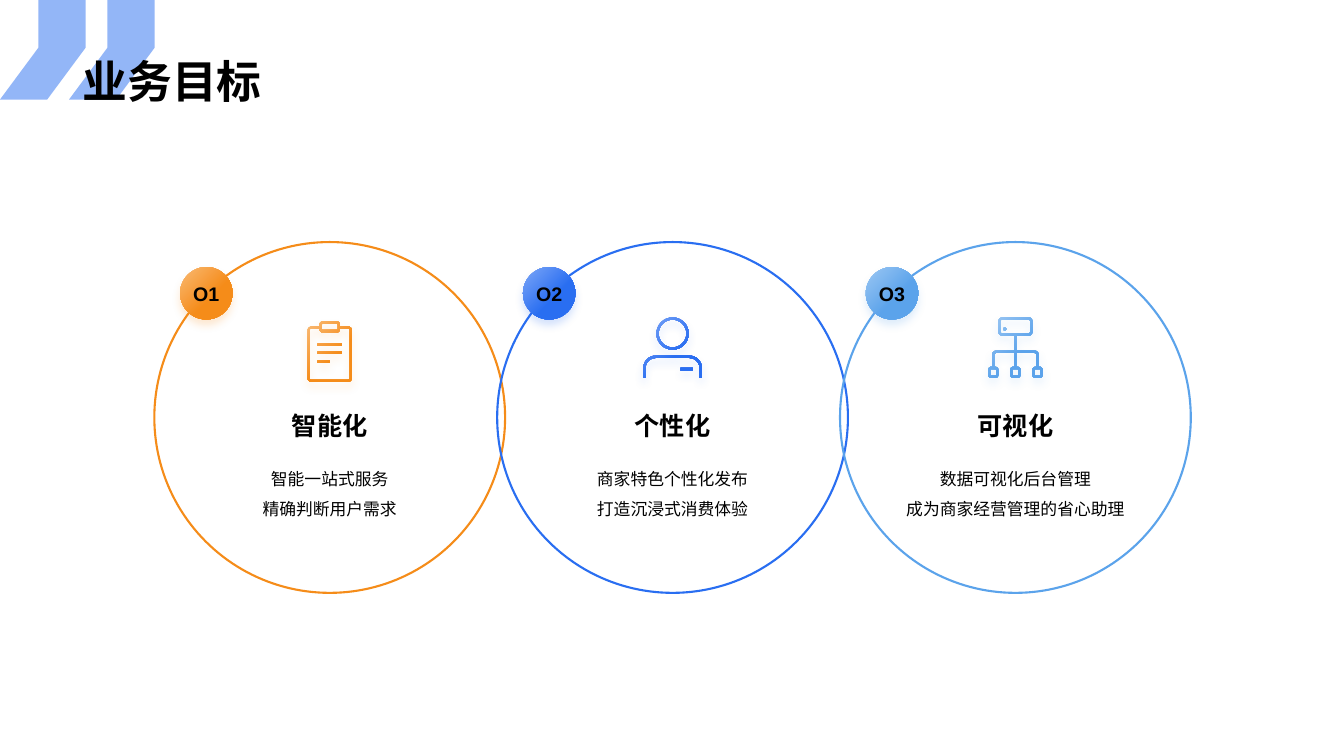
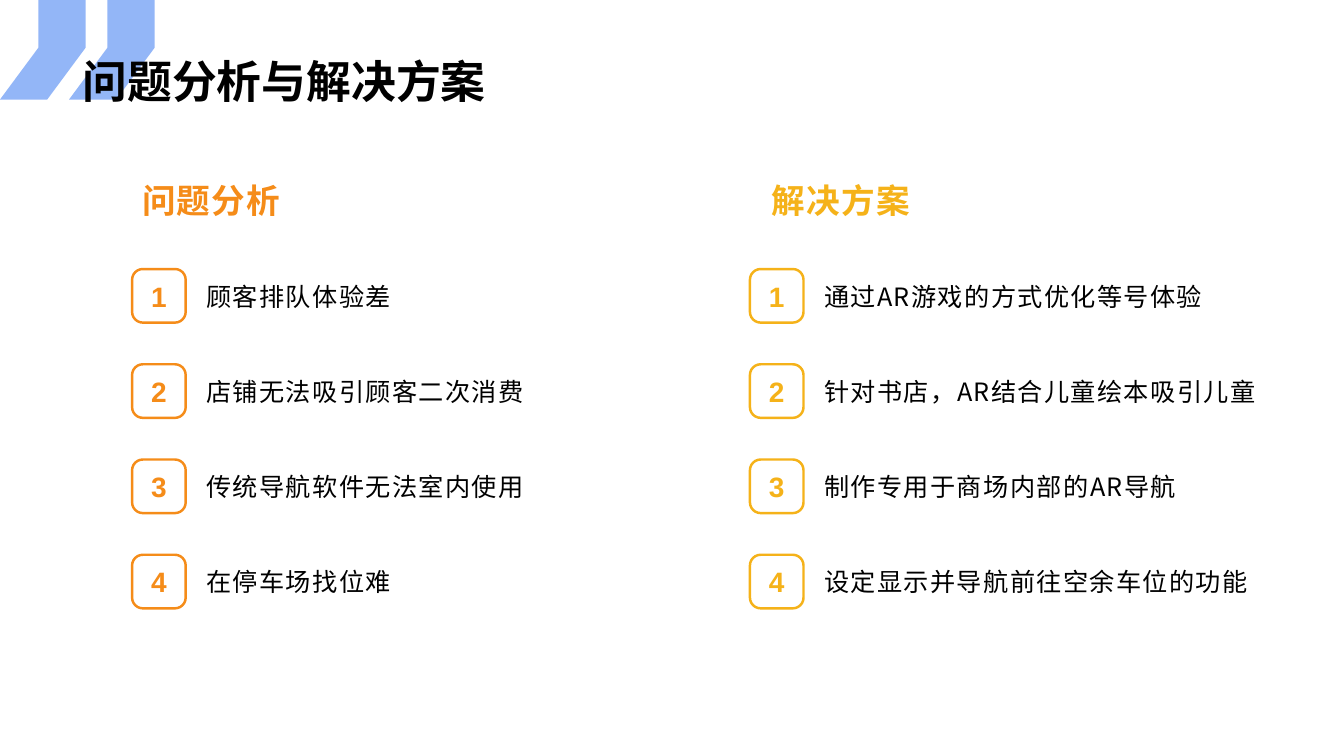
"""Build two slides: business goals, and problems with their solutions."""
from dataclasses import dataclass

import pptx
import pptx.dml.color
import pptx.enum.shapes
import pptx.enum.text
import pptx.oxml
import pptx.oxml.ns
import pptx.util
from lxml import etree

Cm, Pt = pptx.util.Cm, pptx.util.Pt
SHAPE = pptx.enum.shapes.MSO_SHAPE
ALIGN = pptx.enum.text.PP_ALIGN
ANCHOR = pptx.enum.text.MSO_ANCHOR
qn = pptx.oxml.ns.qn


@dataclass(frozen=True)
class Theme:
    orange: str = "F58C19"
    blue: str = "296EF1"
    sky: str = "5BA3EB"
    yellow: str = "F5B219"
    black: str = "000000"
    latin: str = "Arial"
    cjk: str = "Noto Sans CJK SC"
    title: int = 32
    heading: int = 24
    number: int = 20
    item: int = 18
    badge: int = 14
    body: int = 12


T = Theme()


def box(x, y, w, h, r=0):
    return [(x, y, r), (x + w, y, r), (x + w, y + h, r), (x, y + h, r)]


def ring(x, y, w, h, r, t=2.2):
    return [box(x, y, w, h, r), box(x + t, y + t, w - 2 * t, h - 2 * t, r - t)]


CLIPBOARD = [
    [(0, 5, 4), (12, 5, 0), (12, 0, 3), (32, 0, 3), (32, 5, 0), (44, 5, 4), (44, 60, 4), (0, 60, 4)],
    [(2, 7, 2), (12, 7, 0), (12, 11, 3), (32, 11, 3), (32, 7, 0), (42, 7, 2), (42, 58, 2), (2, 58, 2)],
    box(14, 2.5, 16, 6, 1),
    box(10, 22, 24, 2.2), box(10, 30, 24, 2.2), box(10, 39, 12, 2.2),
]
PERSON = ring(13, 0, 32, 32, 16) + [
    [(0, 60, 0), (0, 38, 12), (58, 38, 12), (58, 60, 0),
     (55.8, 60, 0), (55.8, 40.2, 10), (2.2, 40.2, 10), (2.2, 60, 0)],
    box(37, 50, 12, 2.5),
]
SERVER = ring(10, 0, 34, 18, 4) + [
    box(15, 10, 3, 3, 1.5), box(25.9, 18, 2.2, 15), box(25.9, 35.2, 2.2, 13.8),
    [(4, 49, 0), (4, 33, 4), (50, 33, 4), (50, 49, 0),
     (47.8, 49, 0), (47.8, 35.2, 2), (6.2, 35.2, 2), (6.2, 49, 0)],
] + [contour for x in (0, 22, 44) for contour in ring(x, 49, 10, 11, 3)]

GOALS_TITLE = "业务目标"
GOALS = [
    ("O1", "智能化", ["智能一站式服务", "精确判断用户需求"],
     T.orange, "F9BA75", CLIPBOARD, 44, 8.1, T.latin),
    ("O2", "个性化", ["商家特色个性化发布", "打造沉浸式消费体验"],
     T.blue, "7FA8F7", PERSON, 58, 8, T.latin),
    ("O3", "可视化", ["数据可视化后台管理", "成为商家经营管理的省心助理"],
     T.sky, "9DC8F3", SERVER, 54, 8, T.cjk),
]
PLAN_TITLE = "问题分析与解决方案"
PLAN = [
    ("问题分析", T.orange, 3.33, 3.33, 9.65,
     ["顾客排队体验差", "店铺无法吸引顾客二次消费", "传统导航软件无法室内使用", "在停车场找位难"]),
    ("解决方案", T.yellow, 18.9, 19.2, 11.53,
     ["通过AR游戏的方式优化等号体验", "针对书店，AR结合儿童绘本吸引儿童",
      "制作专用于商场内部的AR导航", "设定显示并导航前往空余车位的功能"]),
]

CHEVRON = [(0.97, 0), (2.16, 0), (2.16, 1.2), (1.19, 2.51), (0, 2.51), (0.97, 1.2)]
CHEVRON_STEP = 1.74
ICON_UNIT = 0.0254
CURVE_STEPS = 8


def rgb(color):
    return pptx.dml.color.RGBColor.from_string(color)


def write(sp, lines, size, color=T.black, bold=False, align=ALIGN.LEFT,
          anchor=ANCHOR.TOP, spacing=None, latin=T.latin, tracking=0, wrap=True):
    tf = sp.text_frame
    tf.word_wrap = wrap
    tf.vertical_anchor = anchor
    for i, line in enumerate(lines):
        p = tf.add_paragraph() if i else tf.paragraphs[0]
        p.text = line
        p.alignment = align
        if spacing:
            p.line_spacing = spacing
        font = p.font
        font.size, font.bold, font.name = Pt(size), bold, latin
        font.color.rgb = rgb(color)
        props = p._p.pPr.find(qn("a:defRPr"))
        if tracking:
            props.set("spc", str(tracking * 100))
        props.find(qn("a:latin")).addnext(
            props.makeelement(qn("a:ea"), {"typeface": T.cjk}))


def add_text(slide, x, y, w, h, lines, size, **style):
    sp = slide.shapes.add_textbox(Cm(x), Cm(y), Cm(w), Cm(h))
    write(sp, lines, size, **style)


def add_outline(slide, kind, x, y, size, color, width):
    sp = slide.shapes.add_shape(kind, Cm(x), Cm(y), Cm(size), Cm(size))
    sp.shadow.inherit = False
    sp.fill.background()
    sp.line.color.rgb = rgb(color)
    sp.line.width = Pt(width)
    return sp


def add_freeform(slide, contours, x, y, unit):
    paths = [[(px * Cm(1) * unit, py * Cm(1) * unit) for px, py in c] for c in contours]
    builder = slide.shapes.build_freeform(*paths[0][0])
    for i, path in enumerate(paths):
        if i:
            builder.move_to(*path[0])
        builder.add_line_segments(path[1:], close=True)
    sp = builder.convert_to_shape(Cm(x), Cm(y))
    sp.shadow.inherit = False
    sp.line.fill.background()
    return sp


def round_corners(corners):
    points = []
    for i, (x, y, r) in enumerate(corners):
        if not r:
            points.append((x, y))
            continue
        ends = []
        for nx, ny, _ in (corners[i - 1], corners[(i + 1) % len(corners)]):
            length = abs(nx - x) + abs(ny - y)
            ends.append(((nx - x) * r / length, (ny - y) * r / length))
        (ax, ay), (bx, by) = ends
        for step in range(CURVE_STEPS + 1):
            t = step / CURVE_STEPS
            a = (1 - t) ** 3 + 3 * t * (1 - t) ** 2 * 0.45
            b = t ** 3 + 3 * t ** 2 * (1 - t) * 0.45
            points.append((x + a * ax + b * bx, y + a * ay + b * by))
    return points


def glow(sp, color, light):
    sp.fill.gradient()
    sp.fill.gradient_angle = 315
    for stop, position, shade in zip(sp.fill.gradient_stops, (0, 0.6), (light, color)):
        stop.position = position
        stop.color.rgb = rgb(shade)
    sp.line.fill.background()
    sp.shadow.inherit = False
    effects = sp._element.spPr.find(qn("a:effectLst"))
    shadow = etree.SubElement(effects, qn("a:outerShdw"), blurRad=str(Pt(6)),
                              dist=str(Pt(4)), dir="5400000", algn="t", rotWithShape="0")
    tint = etree.SubElement(shadow, qn("a:srgbClr"), val=color)
    etree.SubElement(tint, qn("a:alpha"), val="20000")


def new_slide(prs, title):
    slide = prs.slides.add_slide(prs.slide_layouts[6])
    for i in range(2):
        sp = add_freeform(slide, [CHEVRON], i * CHEVRON_STEP, 0, 1)
        sp.fill.solid()
        sp.fill.fore_color.rgb = rgb(T.blue)
        tint = sp._element.spPr.find(qn("a:solidFill"))[0]
        etree.SubElement(tint, qn("a:alpha"), val="50000")
    add_text(slide, 1.83, 0, 30.18, 2.84, [title], T.title, bold=True,
             anchor=ANCHOR.BOTTOM, spacing=0.9)
    return slide


def build_goals(prs):
    slide = new_slide(prs, GOALS_TITLE)
    left, top, size, pitch, text_w = 3.89, 6.1, 8.84, 8.64, 6.63
    for i, goal in enumerate(GOALS):
        add_outline(slide, SHAPE.OVAL, left + i * pitch, top, size, goal[3], 1.5)
    for i, (code, name, lines, color, light, icon, icon_w, icon_y, latin) in enumerate(GOALS):
        x = left + i * pitch
        middle = x + size / 2
        badge = slide.shapes.add_shape(SHAPE.OVAL, Cm(x + 0.65), Cm(6.73), Cm(1.32), Cm(1.32))
        glow(badge, color, light)
        write(badge, [code], T.badge, bold=True, align=ALIGN.CENTER,
              anchor=ANCHOR.MIDDLE, wrap=False)
        contours = [round_corners(c) for c in icon]
        sp = add_freeform(slide, contours, middle - icon_w * ICON_UNIT / 2, icon_y, ICON_UNIT)
        glow(sp, color, light)
        text_x = middle - text_w / 2
        add_text(slide, text_x, 10.21, text_w, 1.02, [name], T.item, bold=True,
                 align=ALIGN.CENTER)
        add_text(slide, text_x, 11.43, text_w, 1.7, lines, T.body, align=ALIGN.CENTER,
                 spacing=1.5, latin=latin)


def build_plan(prs):
    slide = new_slide(prs, PLAN_TITLE)
    top, pitch, size = 6.78, 2.4, 1.35
    for heading, color, x, heading_x, text_w, items in PLAN:
        add_text(slide, heading_x, 4.42, 9.4, 1.27, [heading], T.heading, color=color,
                 bold=True, latin=T.cjk, tracking=1)
        for i, item in enumerate(items):
            y = top + i * pitch
            sp = add_outline(slide, SHAPE.ROUNDED_RECTANGLE, x, y, size, color, 1.75)
            sp.adjustments[0] = 0.2
            write(sp, [str(i + 1)], T.number, color=color, bold=True,
                  align=ALIGN.CENTER, anchor=ANCHOR.MIDDLE)
            add_text(slide, x + 1.62, y + 0.1, text_w, 1.09, [item], T.item,
                     anchor=ANCHOR.BOTTOM, spacing=1.2, latin=T.cjk, tracking=1)


def main():
    prs = pptx.Presentation()
    prs.slide_width, prs.slide_height = Cm(33.87), Cm(19.05)
    build_goals(prs)
    build_plan(prs)
    prs.save("out.pptx")


if __name__ == "__main__":
    main()
